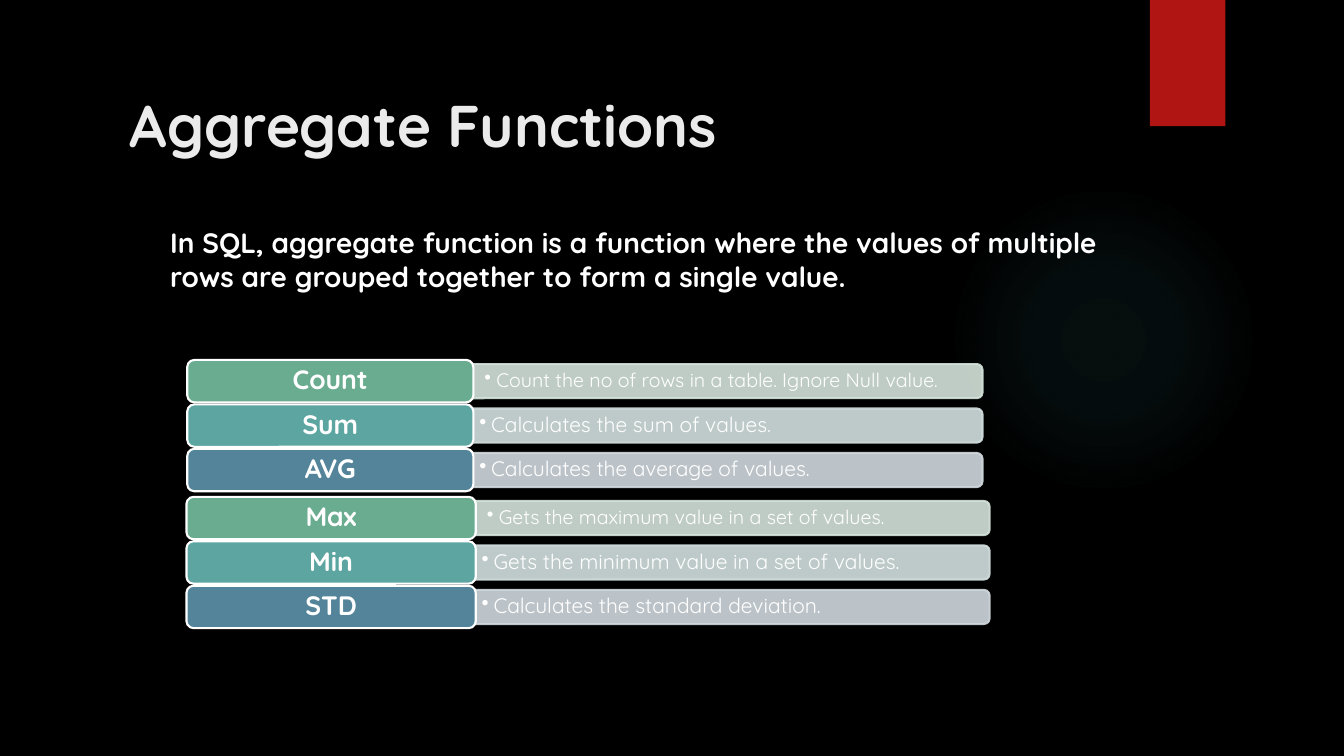
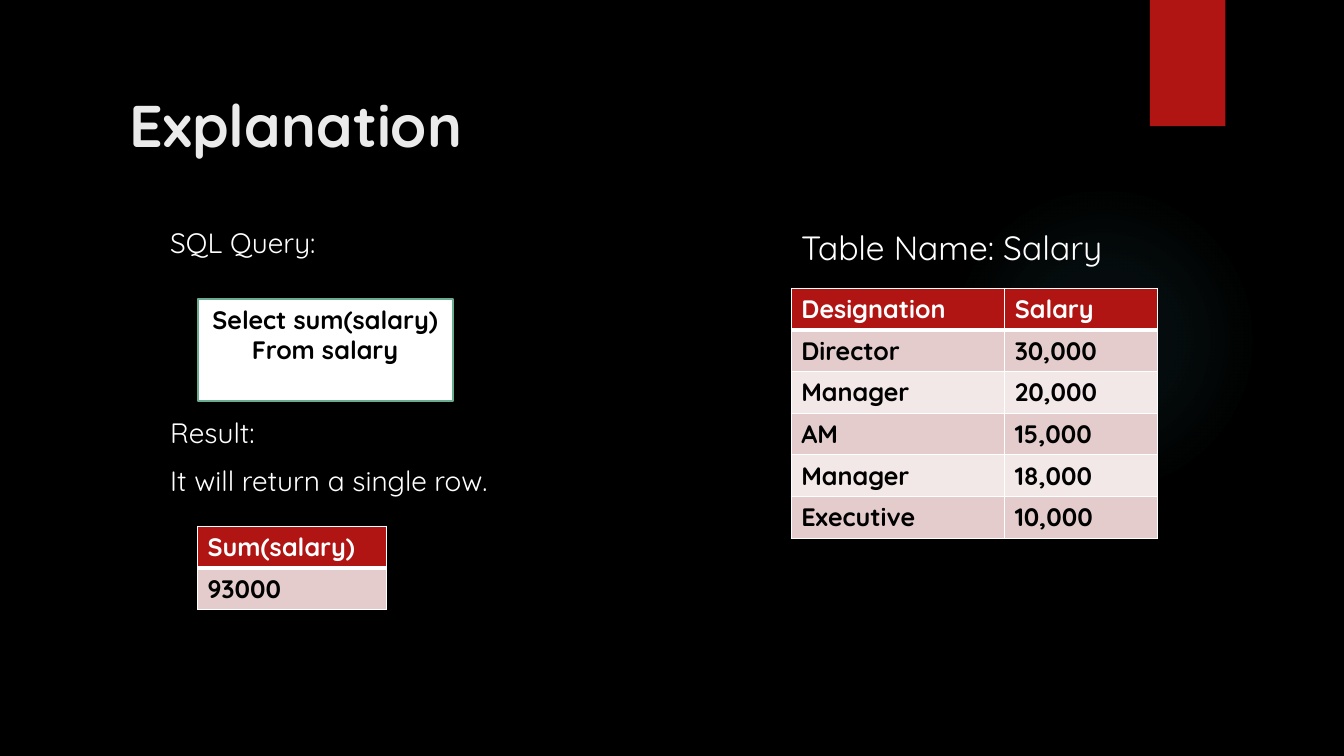
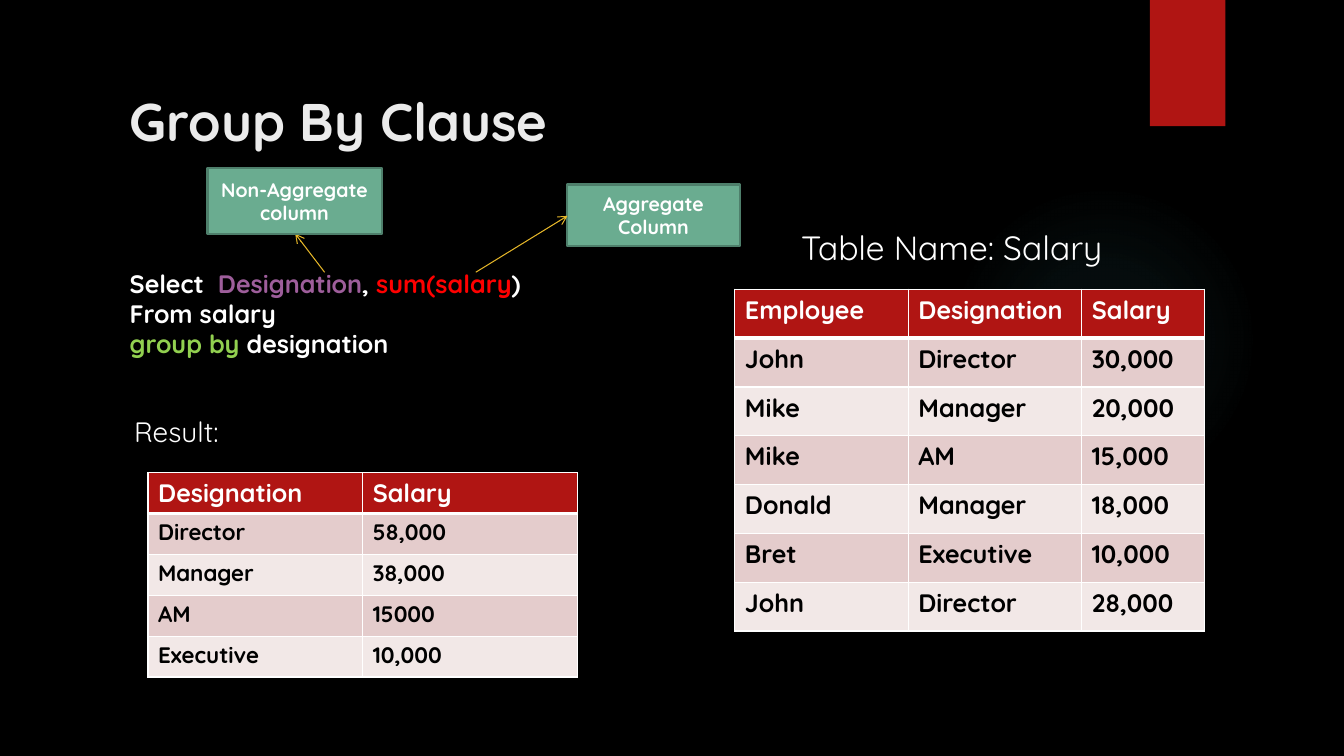
from lxml.etree import SubElement
from pptx import Presentation
from pptx.dml.color import RGBColor
from pptx.enum.shapes import MSO_CONNECTOR, MSO_SHAPE
from pptx.enum.text import MSO_ANCHOR, MSO_AUTO_SIZE, PP_ALIGN
from pptx.oxml import parse_xml
from pptx.oxml.ns import nsdecls, qn
from pptx.util import Cm, Pt

FONT = "Quicksand"
COLORS = {
    "background": "000000", "band": "B01513", "glow": "50B9C1",
    "title": "EBEBEB", "white": "FFFFFF", "black": "000000",
    "green": "6AAC90", "teal": "5DA5A1", "blue": "54849A",
    "pale_green": "D4E3DB", "pale_teal": "D2E0DF", "pale_blue": "D1D9DE",
    "odd_row": "E4CCCC", "even_row": "F2E8E7", "callout_edge": "4E7F6B",
    "arrow": "E6B729", "purple": "9E5E9B", "red": "FF0000", "lime": "92D050",
}


def rgb(color):
    return RGBColor.from_string(COLORS[color])


def style_run(run, size, color, bold=False):
    run.font.name = FONT
    run.font.size = Pt(size)
    run.font.bold = bold
    run.font.color.rgb = rgb(color)


def style_text(frame, size, color, bold=False, align=PP_ALIGN.LEFT):
    for paragraph in frame.paragraphs:
        paragraph.alignment = align
        for run in paragraph.runs:
            style_run(run, size, color, bold)


def add_box(slide, preset, left, top, width, height, fill=None, edge=None):
    box = slide.shapes.add_shape(preset, Cm(left), Cm(top), Cm(width), Cm(height))
    box.shadow.inherit = False
    if fill:
        box.fill.solid()
        box.fill.fore_color.rgb = rgb(fill)
    else:
        box.fill.background()
    if edge:
        box.line.color.rgb = rgb(edge)
        box.line.width = Pt(1.5)
    else:
        box.line.fill.background()
    return box


def add_label(slide, text, place, fill, edge, size, color="white",
              preset=MSO_SHAPE.RECTANGLE, anchor=MSO_ANCHOR.MIDDLE):
    label = add_box(slide, preset, *place, fill, edge)
    label.text_frame.text = text
    label.text_frame.vertical_anchor = anchor
    style_text(label.text_frame, size, color, True, PP_ALIGN.CENTER)
    return label


def add_text(slide, text, left, top, width, height, size, bold=False, wrap=True):
    frame = slide.shapes.add_textbox(Cm(left), Cm(top), Cm(width), Cm(height)).text_frame
    frame.word_wrap = wrap
    frame.text = text
    style_text(frame, size, "white", bold)
    return frame


def add_body(slide, text, left, top, height, bold=False):
    frame = add_text(slide, text, left, top, 25.1, height, 20, bold)
    for index, paragraph in enumerate(frame.paragraphs):
        paragraph.space_before = Pt(10 if index else 0)
        paragraph._p.get_or_add_pPr().set("marL", str(Cm(0.18)))


def add_function_row(slide, name, meaning, left, top, name_width, bar_width,
                     fill, pale, size, inset):
    name_height, bar_height = 1.07, 0.86
    bar_left = left + name_width
    bar_top = top + (name_height - bar_height) / 2
    bar = add_box(slide, MSO_SHAPE.ROUND_2_SAME_RECTANGLE,
                  bar_left + (bar_width - bar_height) / 2,
                  bar_top + (bar_height - bar_width) / 2,
                  bar_height, bar_width, pale, pale)
    bar.rotation = 90
    for color in bar.element.spPr.iter(qn("a:srgbClr")):
        SubElement(color, qn("a:alpha"), val="90000")

    frame = add_text(slide, meaning, bar_left, bar_top, bar_width, bar_height, size)
    frame.vertical_anchor = MSO_ANCHOR.MIDDLE
    frame.margin_left = frame.margin_right = Cm(inset)
    frame.margin_top = frame.margin_bottom = Cm(inset / 2)
    paragraph = frame.paragraphs[0]
    paragraph.line_spacing = 0.9
    properties = paragraph._p.get_or_add_pPr()
    properties.set("marL", str(Cm(0.3)))
    properties.set("indent", str(-Cm(0.3)))
    SubElement(properties, qn("a:buChar"), char="•")

    label = add_label(slide, name, (left, top, name_width, name_height), fill,
                      "white", 19, preset=MSO_SHAPE.ROUNDED_RECTANGLE)
    label.text_frame.margin_top = label.text_frame.margin_bottom = Cm(0.1)
    label.text_frame.paragraphs[0].line_spacing = 0.9


def add_function_group(slide, functions, left, top, name_width, bar_width):
    looks = [("green", "pale_green", 14, 0.28), ("teal", "pale_teal", 15, 0.15),
             ("blue", "pale_blue", 15, 0.15)]
    for index, ((name, meaning), look) in enumerate(zip(functions, looks)):
        add_function_row(slide, name, meaning, left, top + index * 1.12,
                         name_width, bar_width, *look)


def set_borders(cell, row):
    widths = {"lnL": 1, "lnR": 1, "lnT": 3 if row == 1 else 1, "lnB": 1 if row else 3}
    for side, width in widths.items():
        line = SubElement(cell._tc.get_or_add_tcPr(), qn(f"a:{side}"), w=str(Pt(width)))
        fill = SubElement(line, qn("a:solidFill"))
        SubElement(fill, qn("a:srgbClr"), val=COLORS["white"])


def add_data_table(slide, records, left, top, widths, row_height, size=18):
    table = slide.shapes.add_table(
        len(records), len(widths), Cm(left), Cm(top),
        Cm(sum(widths)), Cm(row_height * len(records))).table
    for column, width in zip(table.columns, widths):
        column.width = Cm(width)
    for row, record in enumerate(records):
        table.rows[row].height = Cm(row_height)
        for column, value in enumerate(record):
            cell = table.cell(row, column)
            cell.text = value
            set_borders(cell, row)
            cell.fill.solid()
            if row == 0:
                cell.fill.fore_color.rgb = rgb("band")
                style_text(cell.text_frame, 18, "white", True)
            else:
                cell.fill.fore_color.rgb = rgb("odd_row" if row % 2 else "even_row")
                style_text(cell.text_frame, size, "black", True)


def add_arrow(slide, start, end):
    arrow = slide.shapes.add_connector(MSO_CONNECTOR.STRAIGHT, *map(Cm, start + end))
    arrow.line.color.rgb = rgb("arrow")
    arrow.line.width = Pt(0.75)
    SubElement(arrow.line._get_or_add_ln(), qn("a:tailEnd"), type="arrow")
    SubElement(arrow.element.spPr, qn("a:effectLst"))


def add_colored_query(slide, lines, left, top, width, height):
    text = "\n".join("".join(part for part, _ in line) for line in lines)
    frame = add_text(slide, text, left, top, width, height, 18, True, False)
    for paragraph, line in zip(frame.paragraphs, lines):
        paragraph.runs[0].text = line[0][0]
        for part, _ in line[1:]:
            paragraph.add_run().text = part
        for run, (_, color) in zip(paragraph.runs, line):
            style_run(run, 18, color, True)


def decorate_layout(layout, slide):
    glow = add_box(slide, MSO_SHAPE.OVAL, 23.9, 4.65, 7.82, 7.82)
    stops = "".join(
        f'<a:gs pos="{position}000"><a:srgbClr val="{COLORS["glow"]}">'
        f'<a:alpha val="{alpha}000"/></a:srgbClr></a:gs>'
        for position, alpha in [(0, 7), (36, 6), (69, 0)])
    gradient = parse_xml(
        f'<a:gradFill {nsdecls("a")}><a:gsLst>{stops}</a:gsLst><a:path path="circle">'
        '<a:fillToRect l="50000" t="50000" r="50000" b="50000"/></a:path></a:gradFill>')
    properties = glow.element.spPr
    properties.replace(properties.find(qn("a:noFill")), gradient)
    band = add_box(slide, MSO_SHAPE.RECTANGLE, 28.98, 0, 1.9, 3.18, "band")
    for decoration in (glow, band):
        layout.shapes.element.append(decoration.element)


def add_titled_slide(prs, text, height, size=42):
    slide = prs.slides.add_slide(prs.slide_layouts[5])
    title = slide.shapes.title
    title.left, title.top, title.width, title.height = map(Cm, (3.02, 2.11, 26.01, height))
    frame = title.text_frame
    frame.text = text
    frame.auto_size = MSO_AUTO_SIZE.NONE
    frame.vertical_anchor = MSO_ANCHOR.TOP
    style_text(frame, size, "title", True)
    return slide


def add_table_caption(slide):
    add_text(slide, "Table Name: Salary", 19.94, 5.59, 9.04, 1.27, 24)


def fill_functions(slide):
    add_body(slide, "In SQL, aggregate function is a function where the values of "
             "multiple rows are grouped together to form a single value.",
             3.86, 5.56, 2.2, True)
    add_function_group(slide, [
        ("Count", "Count the no of rows in a table. Ignore Null value."),
        ("Sum", "Calculates the sum of values."),
        ("AVG", "Calculates the average of values."),
    ], 4.72, 9.07, 7.21, 12.83)
    add_function_group(slide, [
        ("Max", "Gets the maximum value in a set of values."),
        ("Min", "Gets the minimum value in a set of values."),
        ("STD", "Calculates the standard deviation."),
    ], 4.7, 12.52, 7.29, 12.95)


def fill_explanation(slide):
    add_body(slide, "SQL Query:", 3.86, 5.56, 1.2)
    add_body(slide, "Result:\nIt will return a single row.", 3.86, 10.35, 2.5)
    add_data_table(slide, [
        ("Designation", "Salary"), ("Director", "30,000"), ("Manager", "20,000"),
        ("AM", "15,000"), ("Manager", "18,000"), ("Executive", "10,000"),
    ], 19.94, 7.26, (5.38, 3.84), 1.05)
    add_label(slide, "Select sum(salary)\nFrom salary", (4.98, 7.54, 6.43, 2.57),
              "white", "green", 18, "black", anchor=MSO_ANCHOR.TOP)
    add_data_table(slide, [("Sum(salary)",), ("93000",)], 4.98, 13.26, (4.75,), 1.05)
    add_table_caption(slide)


def fill_group_by(slide):
    add_body(slide, "Result:", 2.95, 10.31, 1.2)
    add_table_caption(slide)
    add_arrow(slide, (8.18, 6.86), (7.44, 5.89))
    add_colored_query(slide, [
        [("Select  ", "white"), ("Designation", "purple"), (", ", "white"),
         ("sum(salary", "red"), (")", "white")],
        [("From salary", "white")],
        [("group by ", "lime"), ("designation", "white")],
    ], 3.02, 6.63, 10.41, 4.11)
    for text, place in [("Aggregate Column", (14.3, 4.65, 4.34, 1.55)),
                        ("Non-Aggregate column", (5.23, 4.24, 4.39, 1.65))]:
        add_label(slide, text, place, "green", "callout_edge", 14)
    add_arrow(slide, (11.99, 6.86), (14.3, 5.44))
    add_data_table(slide, [
        ("Designation", "Salary"), ("Director", "58,000"), ("Manager", "38,000"),
        ("AM", "15000"), ("Executive", "10,000"),
    ], 3.73, 11.91, (5.41, 5.41), 1.03, 16)
    add_data_table(slide, [
        ("Employee", "Designation", "Salary"), ("John", "Director", "30,000"),
        ("Mike", "Manager", "20,000"), ("Mike", "AM", "15,000"),
        ("Donald", "Manager", "18,000"), ("Bret", "Executive", "10,000"),
        ("John", "Director", "28,000"),
    ], 18.52, 7.29, (4.37, 4.37, 3.1), 1.23)


def main():
    prs = Presentation()
    prs.slide_width, prs.slide_height = Cm(33.87), Cm(19.05)
    background = prs.slide_master.background.fill
    background.solid()
    background.fore_color.rgb = rgb("background")

    functions = add_titled_slide(prs, "Aggregate Functions", 3.18)
    decorate_layout(prs.slide_layouts[5], functions)
    fill_functions(functions)
    fill_explanation(add_titled_slide(prs, "Explanation", 2.54))
    fill_group_by(add_titled_slide(prs, "Group By Clause", 1.78, 37.8))
    prs.save("out.pptx")


if __name__ == "__main__":
    main()
